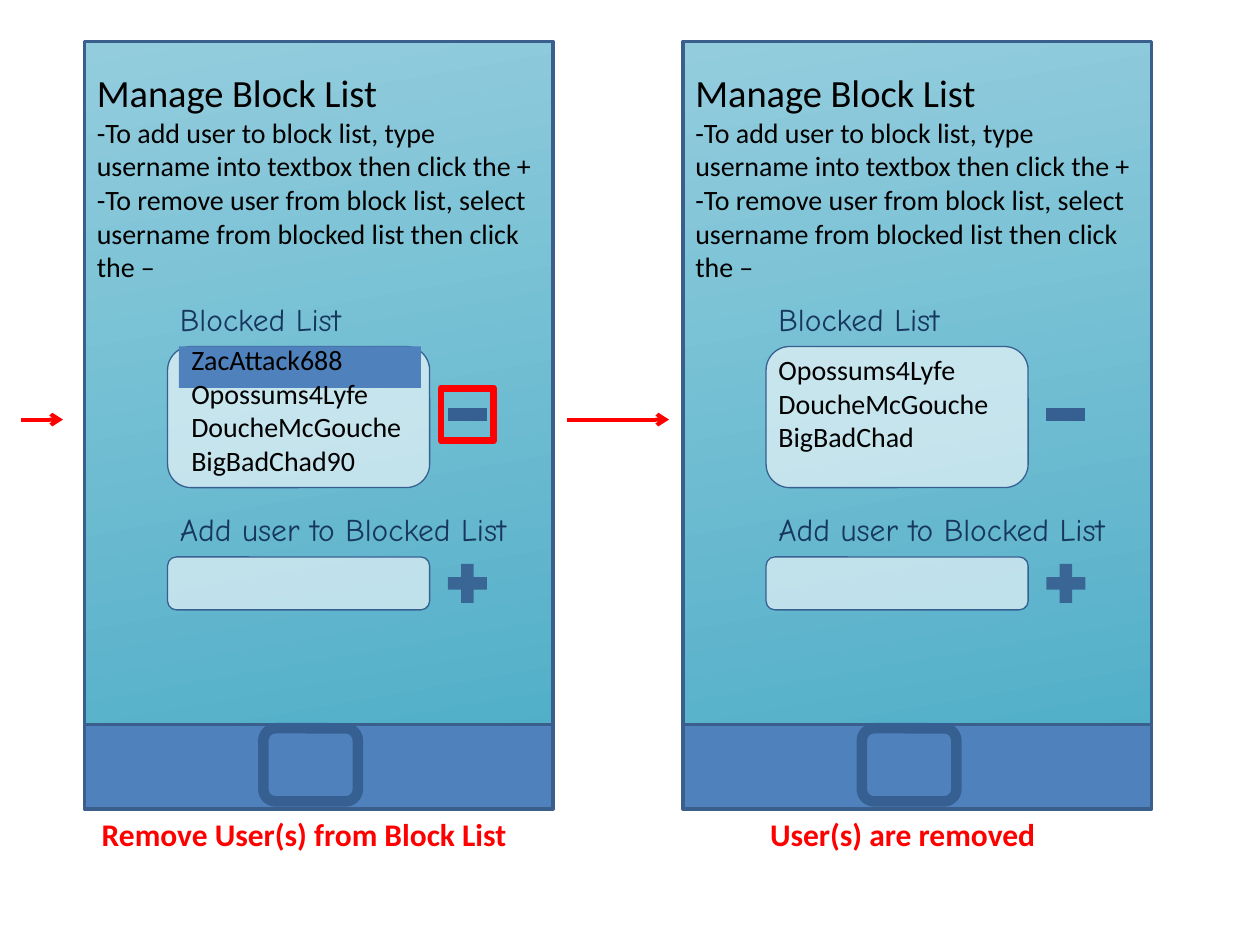
from dataclasses import dataclass
from typing import Optional

from lxml import etree
from pptx import Presentation
from pptx.dml.color import RGBColor
from pptx.enum import shapes, text
from pptx.oxml.ns import qn
from pptx.util import Inches, Pt

Shape = shapes.MSO_SHAPE


@dataclass(frozen=True)
class Theme:
    red: str = "FF0000"
    black: str = "000000"
    white: str = "FFFFFF"
    blue: str = "4F81BD"
    edge: str = "3A5F8C"
    icon: str = "376092"
    label: str = "17375E"
    screen_low: str = "4BACC6"
    screen_high: str = "93CDDD"
    body_font: str = "Calibri"
    label_font: str = "Comic Neue"
    title_size: int = 22
    label_size: int = 18
    body_size: int = 16


@dataclass(frozen=True)
class Box:
    left: float
    top: float
    width: float
    height: float

    def lengths(self, shift: float) -> list:
        return [Inches(n) for n in (self.left + shift, self.top, self.width, self.height)]


@dataclass(frozen=True)
class Part:
    kind: int
    box: Box
    fill: Optional[str] = None
    opacity: int = 100
    line: Optional[str] = None
    weight: float = 0.75


@dataclass(frozen=True)
class Phone:
    shift: float
    caption: str
    users: tuple
    users_box: Box
    selecting: bool = False


THEME = Theme()
SCREEN = Part(Shape.RECTANGLE, Box(0.67, 0.33, 3.72, 6.08), line=THEME.edge, weight=2)
CONTROLS = (
    Part(Shape.RECTANGLE, Box(0.67, 5.75, 3.72, 0.67), THEME.blue, line=THEME.edge, weight=2),
    Part(Shape.ROUNDED_RECTANGLE, Box(2.09, 5.78, 0.75, 0.58), line=THEME.icon, weight=6),
    Part(Shape.ROUNDED_RECTANGLE, Box(1.33, 2.75, 2.08, 1.12), THEME.white, 60, THEME.icon),
    Part(Shape.ROUNDED_RECTANGLE, Box(1.33, 4.42, 2.08, 0.42), THEME.white, 60, THEME.icon),
    Part(Shape.MATH_PLUS, Box(3.5, 4.42, 0.42, 0.42), THEME.icon, 92),
    Part(Shape.MATH_MINUS, Box(3.5, 3.08, 0.42, 0.42), THEME.icon),
)
SELECTION = (
    Part(Shape.RECTANGLE, Box(3.5, 3.08, 0.42, 0.42), line=THEME.red, weight=4),
    Part(Shape.RECTANGLE, Box(1.42, 2.75, 1.92, 0.33), THEME.blue),
)
HEADING = "Manage Block List"
STEPS = (
    "-To add user to block list, type username into textbox then click the +",
    "-To remove user from block list, select username from blocked list then click the –",
)
LABELS = (
    ("Blocked List", Box(1.33, 2.33, 2.08, 0.4)),
    ("Add user to Blocked List", Box(1.33, 4, 2.92, 0.4)),
)
PHONES = (
    Phone(0, "Remove User(s) from Block List",
          ("ZacAttack688", "Opossums4Lyfe", "DoucheMcGouche", "BigBadChad90"),
          Box(1.42, 2.67, 2, 1.45), selecting=True),
    Phone(4.75, "User(s) are removed",
          ("Opossums4Lyfe", "DoucheMcGouche", "BigBadChad"),
          Box(1.33, 2.75, 2, 0.91)),
)
ARROWS = ((0.17, 0.5), (4.5, 5.31))
ARROW_Y = 3.33

BODY = {"name": THEME.body_font, "size": Pt(THEME.body_size), "color": THEME.black}
TITLE = {**BODY, "size": Pt(THEME.title_size)}
LABEL = {"name": THEME.label_font, "size": Pt(THEME.label_size), "color": THEME.label}
CAPTION = {"name": THEME.body_font, "size": Pt(THEME.label_size), "color": THEME.red, "bold": True}


def rgb(value: str) -> RGBColor:
    return RGBColor.from_string(value)


def add_part(slide, part: Part, shift: float):
    shape = slide.shapes.add_shape(part.kind, *part.box.lengths(shift))
    shape.shadow.inherit = False
    if part.fill:
        shape.fill.solid()
        shape.fill.fore_color.rgb = rgb(part.fill)
        if part.opacity < 100:
            color = shape.fill._xPr.find(qn("a:solidFill"))[0]
            etree.SubElement(color, qn("a:alpha"), val=str(part.opacity * 1000))
    else:
        shape.fill.background()
    if part.line:
        shape.line.color.rgb = rgb(part.line)
        shape.line.width = Pt(part.weight)
    else:
        shape.line.fill.background()
    return shape


def add_screen(slide, shift: float) -> None:
    fill = add_part(slide, SCREEN, shift).fill
    fill.gradient()
    fill.gradient_angle = 100
    for stop, color, position in zip(
            fill.gradient_stops, (THEME.screen_low, THEME.screen_high), (0, 1)):
        stop.color.rgb = rgb(color)
        stop.position = position


def add_text(slide, box: Box, shift: float, lines: list, align=text.PP_ALIGN.LEFT) -> None:
    """Write (wording, format) pairs as paragraphs of one text box."""
    frame = slide.shapes.add_textbox(*box.lengths(shift)).text_frame
    frame.word_wrap = True
    frame.auto_size = text.MSO_AUTO_SIZE.SHAPE_TO_FIT_TEXT
    for index, (wording, style) in enumerate(lines):
        paragraph = frame.add_paragraph() if index else frame.paragraphs[0]
        paragraph.alignment = align
        run = paragraph.add_run()
        run.text = wording
        for key, value in style.items():
            if key == "color":
                run.font.color.rgb = rgb(value)
            else:
                setattr(run.font, key, value)


def add_arrow(slide, start: float, end: float) -> None:
    y = Inches(ARROW_Y)
    arrow = slide.shapes.add_connector(
        shapes.MSO_CONNECTOR.STRAIGHT, Inches(start), y, Inches(end), y)
    arrow.line.color.rgb = rgb(THEME.red)
    arrow.line.width = Pt(2.25)
    etree.SubElement(arrow.line._get_or_add_ln(), qn("a:tailEnd"), type="arrow")
    etree.SubElement(arrow._element.spPr, qn("a:effectLst"))


def add_phone(slide, phone: Phone) -> None:
    shift = phone.shift
    add_screen(slide, shift)
    for part in CONTROLS + (SELECTION if phone.selecting else ()):
        add_part(slide, part, shift)
    add_text(slide, Box(0.67, 0.5, 3.67, 1.82), shift,
             [(HEADING, TITLE)] + [(step, BODY) for step in STEPS])
    for wording, box in LABELS:
        add_text(slide, box, shift, [(wording, LABEL)])
    add_text(slide, phone.users_box, shift, [(user, BODY) for user in phone.users])
    add_text(slide, Box(0.58, 6.42, 3.67, 0.4), shift,
             [(phone.caption, CAPTION)], text.PP_ALIGN.CENTER)


def main() -> None:
    deck = Presentation()
    deck.slide_width, deck.slide_height = Inches(10), Inches(7.5)
    slide = deck.slides.add_slide(deck.slide_layouts[6])
    for start, end in ARROWS:
        add_arrow(slide, start, end)
    for phone in PHONES:
        add_phone(slide, phone)
    deck.save("out.pptx")


if __name__ == "__main__":
    main()
